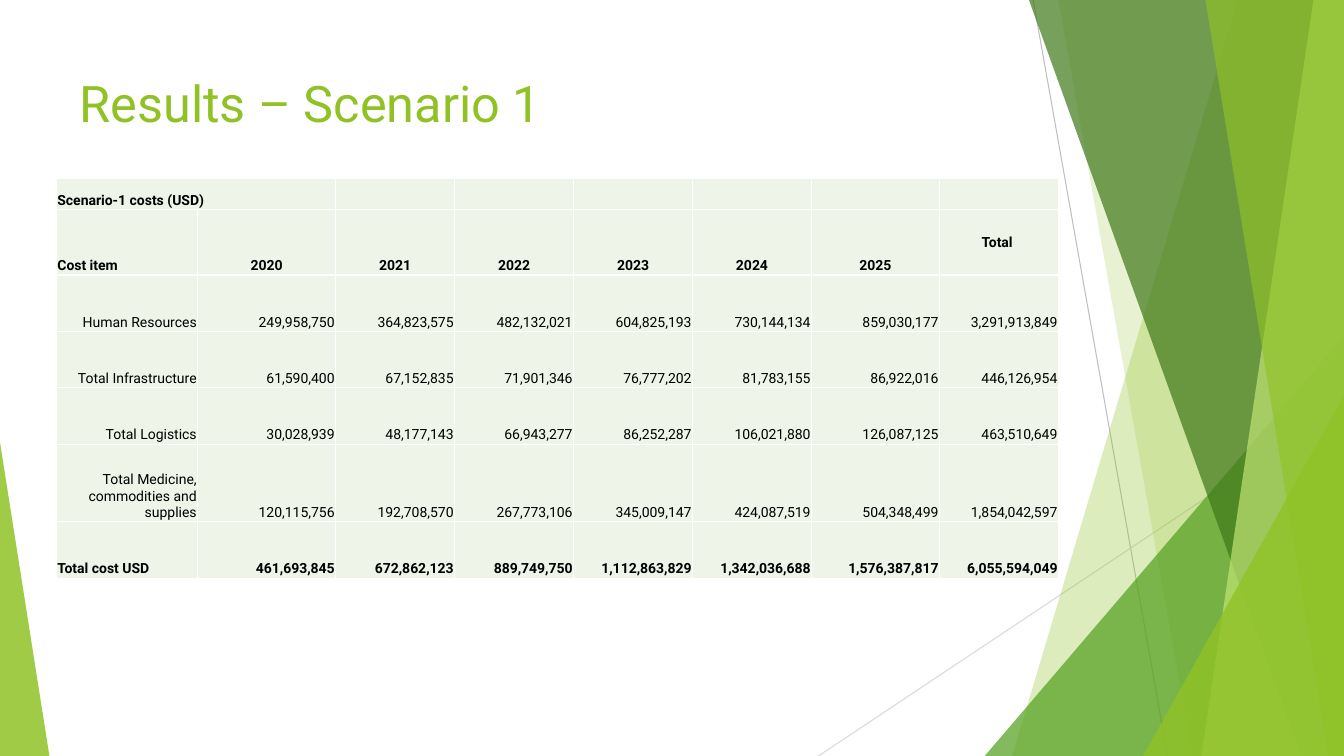
from dataclasses import dataclass

from lxml import etree
from pptx import Presentation
from pptx.dml.color import RGBColor
from pptx.enum.text import MSO_ANCHOR, PP_ALIGN
from pptx.oxml.ns import qn
from pptx.util import Pt

LEFT, CENTER, RIGHT = PP_ALIGN.LEFT, PP_ALIGN.CENTER, PP_ALIGN.RIGHT
TOP, MIDDLE, BOTTOM = MSO_ANCHOR.TOP, MSO_ANCHOR.MIDDLE, MSO_ANCHOR.BOTTOM
TITLE_ONLY = 5
WIDTH, HEIGHT = 960, 540


@dataclass(frozen=True)
class Theme:
    font: str = "Roboto"
    title_size: float = 36
    table_size: float = 10
    lime: str = "90C226"
    green: str = "54A021"
    dark_green: str = "3F7819"
    pale_lime: str = "C0E474"
    cell: str = "EEF4E7"
    border: str = "FFFFFF"
    text: str = "000000"
    gray: str = "BFBFBF"
    light_gray: str = "D9D9D9"


THEME = Theme()

# Decoration: line ends, and facets as (colour, opacity in percent, corners)
LINES = [
    (THEME.gray, (738, 0), (834, HEIGHT)),
    (THEME.light_gray, (WIDTH, 290), (584.6, HEIGHT)),
]
TOP_RIGHT, BOTTOM_RIGHT = (WIDTH, 0), (WIDTH, HEIGHT)
FACETS = [
    (THEME.lime, 30, [(884.2, 0), TOP_RIGHT, BOTTOM_RIGHT, (723, HEIGHT)]),
    (THEME.lime, 20, [(756, 0), TOP_RIGHT, BOTTOM_RIGHT, (851.8, HEIGHT)]),
    (THEME.green, 72, [(703.4, HEIGHT), (WIDTH, 240), BOTTOM_RIGHT]),
    (THEME.dark_green, 70, [(735, 0), TOP_RIGHT, BOTTOM_RIGHT, (929.5, HEIGHT)]),
    (THEME.pale_lime, 70, [(938.2, 0), TOP_RIGHT, BOTTOM_RIGHT, (858.2, HEIGHT)]),
    (THEME.lime, 65, [(861, 0), TOP_RIGHT, BOTTOM_RIGHT, (949, HEIGHT)]),
    (THEME.lime, 80, [(816.5, HEIGHT), (WIDTH, 283), BOTTOM_RIGHT]),
    (THEME.lime, 85, [(0, HEIGHT), (0, 316), (35.3, HEIGHT)]),
]

# Table content
COLUMN_WIDTHS = [100.8, 98.6, 85, 85, 85, 85, 91.4, 85]
ROW_HEIGHTS = [22.3, 46.8, 40.3, 40.3, 40.3, 55.4, 40.3]
COSTS = [
    ["Scenario-1 costs (USD)"] + [""] * 7,
    ["Cost item", "2020", "2021", "2022", "2023", "2024", "2025", "Total "],
    ["Human Resources", "249,958,750", "364,823,575", "482,132,021",
     "604,825,193", "730,144,134", "859,030,177", "3,291,913,849"],
    ["Total Infrastructure", "61,590,400", "67,152,835", "71,901,346",
     "76,777,202", "81,783,155", "86,922,016", "446,126,954"],
    ["Total Logistics", "30,028,939", "48,177,143", "66,943,277",
     "86,252,287", "106,021,880", "126,087,125", "463,510,649"],
    ["Total Medicine, commodities and supplies", "120,115,756", "192,708,570",
     "267,773,106", "345,009,147", "424,087,519", "504,348,499", "1,854,042,597"],
    ["Total cost USD", "461,693,845", "672,862,123", "889,749,750",
     "1,112,863,829", "1,342,036,688", "1,576,387,817", "6,055,594,049"],
]
HEADER_ROW, TOTAL_ROW = 1, len(COSTS) - 1


class SlideBuilder:
    def __init__(self, slide, theme):
        self.slide = slide
        self.theme = theme

    def style(self, paragraph, size, color, bold=False, align=LEFT):
        paragraph.alignment = align
        font = paragraph.font
        font.name, font.size, font.bold = self.theme.font, Pt(size), bold
        font.color.rgb = RGBColor.from_string(color)

    def line(self, color, start, end):
        connector = self.slide.shapes.add_connector(
            1, *(Pt(value) for value in start + end))
        connector.line.color.rgb = RGBColor.from_string(color)
        connector.line.width = Pt(0.75)
        properties = connector.element.find(qn("p:spPr"))
        etree.SubElement(properties, qn("a:effectLst"))

    def facet(self, color, opacity, corners):
        start, *others = [(Pt(x), Pt(y)) for x, y in corners]
        builder = self.slide.shapes.build_freeform(*start)
        builder.add_line_segments(others)
        shape = builder.convert_to_shape()
        shape.shadow.inherit = False
        shape.line.fill.background()
        shape.fill.solid()
        shape.fill.fore_color.rgb = RGBColor.from_string(color)
        fill_color = shape.element.find(".//" + qn("a:srgbClr"))
        etree.SubElement(fill_color, qn("a:alpha"), val=str(opacity * 1000))

    def title(self, text, left, top, width, height):
        title = self.slide.shapes.title
        title.left, title.top = Pt(left), Pt(top)
        title.width, title.height = Pt(width), Pt(height)
        frame = title.text_frame
        frame.text = text
        frame.vertical_anchor = TOP
        frame.margin_left = frame.margin_right = Pt(3.6)
        frame.margin_top = frame.margin_bottom = Pt(3.6)
        self.style(frame.paragraphs[0], self.theme.title_size, self.theme.lime)

    def cell(self, cell, text, bold, align, anchor):
        cell.text = text
        cell.vertical_anchor = anchor
        cell.margin_left = cell.margin_right = Pt(0.7)
        cell.margin_top = cell.margin_bottom = Pt(0.7)
        self.style(cell.text_frame.paragraphs[0], self.theme.table_size,
                   self.theme.text, bold, align)
        # Borders come before the fill in the cell properties
        properties = cell._tc.get_or_add_tcPr()
        for side in ("a:lnL", "a:lnR", "a:lnT", "a:lnB"):
            border = etree.SubElement(properties, qn(side), w=str(Pt(1)))
            fill = etree.SubElement(border, qn("a:solidFill"))
            etree.SubElement(fill, qn("a:srgbClr"), val=self.theme.border)
        cell.fill.solid()
        cell.fill.fore_color.rgb = RGBColor.from_string(self.theme.cell)

    def cost_table(self, rows, left, top):
        table = self.slide.shapes.add_table(
            len(rows), len(COLUMN_WIDTHS), Pt(left), Pt(top),
            Pt(sum(COLUMN_WIDTHS)), Pt(sum(ROW_HEIGHTS))).table
        table.first_row = table.horz_banding = False
        for column, width in zip(table.columns, COLUMN_WIDTHS):
            column.width = Pt(width)
        for row, height in zip(table.rows, ROW_HEIGHTS):
            row.height = Pt(height)
        for row_index, row in enumerate(rows):
            is_cost = HEADER_ROW < row_index < TOTAL_ROW
            for column_index, text in enumerate(row):
                align = RIGHT
                if column_index == 0 and not is_cost:
                    align = LEFT
                elif row_index == HEADER_ROW:
                    align = CENTER
                is_total_header = row_index == HEADER_ROW and column_index == len(row) - 1
                self.cell(table.cell(row_index, column_index), text, not is_cost,
                          align, MIDDLE if is_total_header else BOTTOM)
        table.cell(0, 0).merge(table.cell(0, 1))


def main():
    presentation = Presentation()
    presentation.slide_width, presentation.slide_height = Pt(WIDTH), Pt(HEIGHT)
    slide = presentation.slides.add_slide(presentation.slide_layouts[TITLE_ONLY])
    builder = SlideBuilder(slide, THEME)

    # Background decoration
    for line in LINES:
        builder.line(*line)
    for facet in FACETS:
        builder.facet(*facet)

    # Title and costs
    builder.title("Results – Scenario 1", 53.3, 48.2, 676.8, 103.7)
    builder.cost_table(COSTS, 40.3, 127.4)

    presentation.save("out.pptx")


if __name__ == "__main__":
    main()
